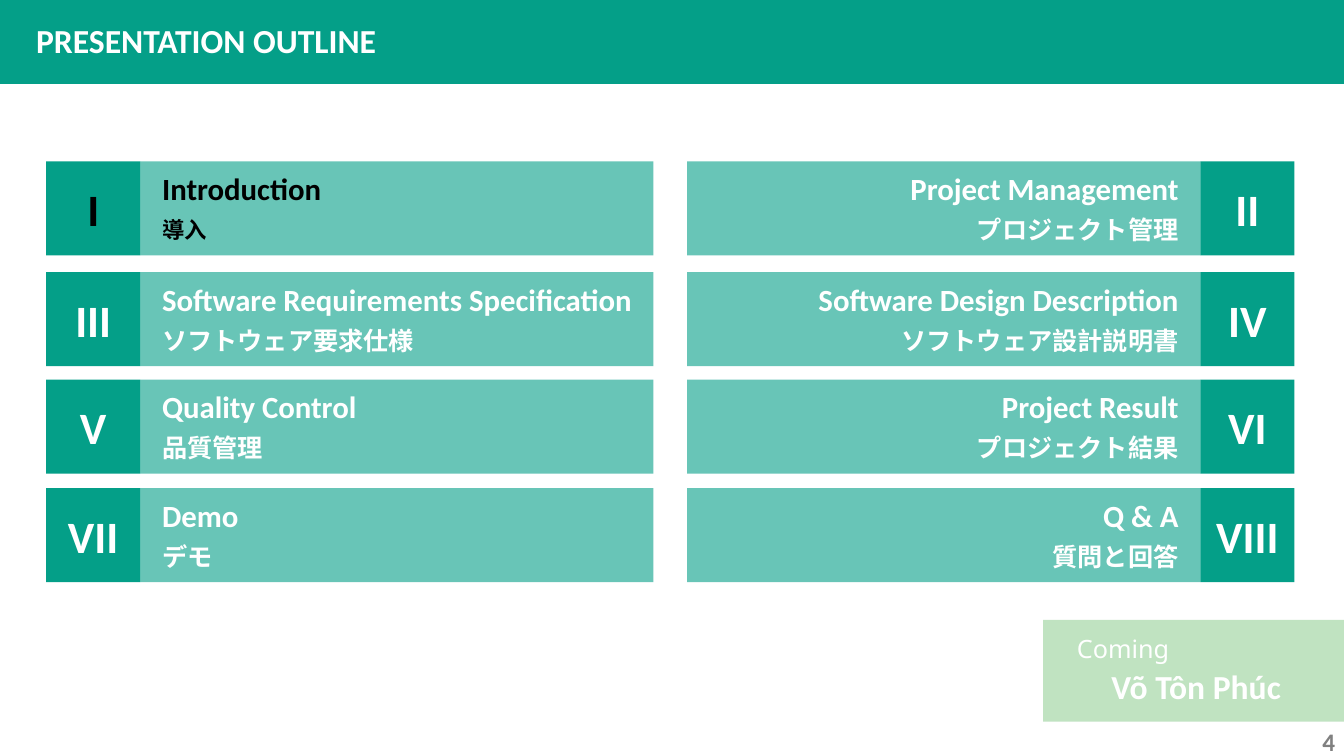
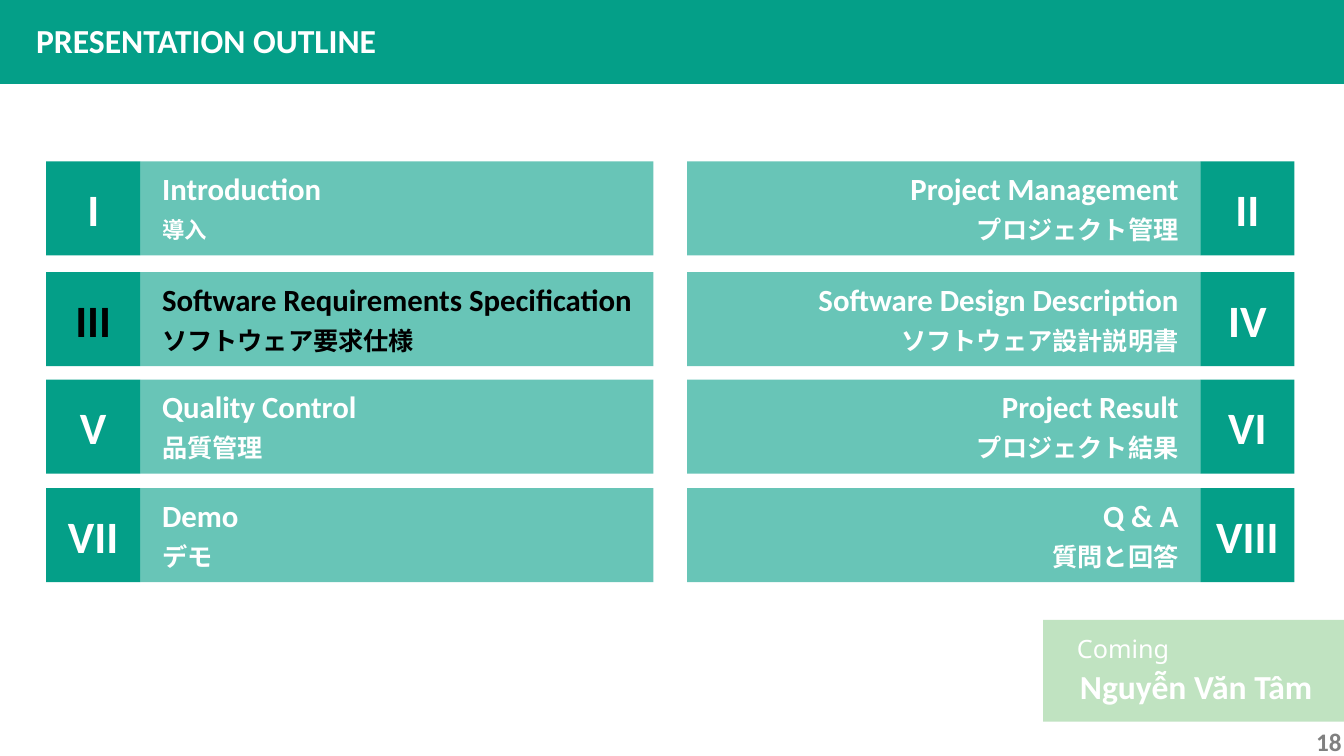
from dataclasses import dataclass
from lxml.etree import SubElement
from pptx import Presentation
from pptx.dml.color import RGBColor as RGB
from pptx.enum.shapes import MSO_SHAPE as Shape
from pptx.enum.text import MSO_ANCHOR as Anchor, MSO_AUTO_SIZE as AutoSize, PP_ALIGN as Align
from pptx.oxml.ns import qn
from pptx.util import Inches, Pt


@dataclass(frozen=True)
class Theme:
    green: str = "049F88"
    leaf: str = "4CAF50"
    white: str = "FFFFFF"
    black: str = "000000"
    grey: str = "808080"
    font: str = "Calibri"
    japanese: str = "Times New Roman"
    plain: str = "Noto Sans"
    title: int = 24
    numeral: int = 32
    topic: int = 22
    small: int = 18
    tiny: int = 16


T = Theme()

# The slide is a grid of 160 columns by 90 rows
COLS, ROWS = 160, 90
LEFT, RIGHT = 5.5, 154.1
BADGE, BAR, PAD = 11.2, 61.1, 2.6
ROW_TOPS = (19.2, 32.4, 45.2, 58.1)

# Numeral, topic, Japanese topic, size of the Japanese topic
SECTIONS = (
    ("I", "Introduction", "導入", T.tiny),
    ("II", "Project Management", "プロジェクト管理", T.small),
    ("III", "Software Requirements Specification", "ソフトウェア要求仕様", T.small),
    ("IV", "Software Design Description", "ソフトウェア設計説明書", T.small),
    ("V", "Quality Control", "品質管理", T.small),
    ("VI", "Project Result", "プロジェクト結果", T.small),
    ("VII", "Demo", "デモ", T.small),
    ("VIII", "Q & A", "質問と回答", T.small),
)

# Current section, next speaker, page number
SLIDES = (("I", "Võ Tôn Phúc", "4"), ("III", "Nguyễn Văn Tâm", "18"))


class Deck:
    def __init__(self):
        self.prs = Presentation()
        self.prs.slide_width, self.prs.slide_height = Inches(13.33), Inches(7.5)
        self.slide = None

    def new_slide(self):
        self.slide = self.prs.slides.add_slide(self.prs.slide_layouts[5])

    def place(self, x, y, w, h):
        col, row = self.prs.slide_width / COLS, self.prs.slide_height / ROWS
        return [round(v) for v in (x * col, y * row, w * col, h * row)]

    def set_text(self, sp, text, size, color=T.white, font=T.font, bold=True, align=Align.LEFT):
        tf = sp.text_frame
        tf.text = text
        tf.auto_size, tf.word_wrap = AutoSize.NONE, False
        tf.vertical_anchor = Anchor.MIDDLE
        tf.margin_left = tf.margin_right = tf.margin_top = tf.margin_bottom = 0
        p = tf.paragraphs[0]
        p.alignment = align
        f = p.runs[0].font
        f.name, f.size, f.bold = font, Pt(size), bold
        f.color.rgb = RGB.from_string(color)

    def rect(self, box, color, opacity=100):
        sp = self.slide.shapes.add_shape(Shape.RECTANGLE, *self.place(*box))
        sp.shadow.inherit = False
        sp.line.fill.background()
        sp.fill.solid()
        sp.fill.fore_color.rgb = RGB.from_string(color)
        if opacity < 100:
            clr = sp._element.spPr.find(".//" + qn("a:srgbClr"))
            SubElement(clr, qn("a:alpha")).set("val", str(opacity * 1000))
        return sp

    def label(self, box, text, size, **style):
        self.set_text(self.slide.shapes.add_textbox(*self.place(*box)), text, size, **style)

    def title(self, text):
        self.rect((0, 0, COLS, 10), T.green)
        sp = self.slide.shapes.title
        sp.left, sp.top, sp.width, sp.height = self.place(4.3, 1.8, 60, 6)
        self.set_text(sp, text, T.title)
        # Bring the title in front of its band
        self.slide.shapes._spTree.append(sp._element)

    def section(self, index, current):
        numeral, topic, japanese, size = SECTIONS[index]
        row, on_right = divmod(index, 2)
        y = ROW_TOPS[row]
        badge_x = RIGHT - BADGE if on_right else LEFT
        bar_x = badge_x - BAR if on_right else LEFT + BADGE
        align = Align.RIGHT if on_right else Align.LEFT
        color = T.black if numeral == current else T.white
        # Numbered badge and pale bar
        badge = self.rect((badge_x, y, BADGE, BADGE), T.green)
        self.set_text(badge, numeral, T.numeral, color=color, align=Align.CENTER)
        self.rect((bar_x, y, BAR, BADGE), T.green, 60)
        # Topic in two languages
        x, w = bar_x + PAD, BAR - 2 * PAD
        self.label((x, y + 0.4, w, 5.6), topic, T.topic, color=color, align=align)
        self.label((x, y + 5.7, w, 4.8), japanese, size, color=color, font=T.japanese, align=align)

    def coming(self, speaker):
        self.rect((124.2, 73.8, 35.8, 12.1), T.leaf, 35)
        self.label((128.2, 74.8, 12, 4.8), "Coming", T.small, font=T.plain, bold=False)
        self.label((127.4, 78.7, 30, 6), speaker, T.title, align=Align.CENTER)

    def page(self, number):
        self.label((156.4, 86.6, 3.6, 3.4), number, T.small, color=T.grey, align=Align.CENTER)


def main():
    deck = Deck()
    for current, speaker, number in SLIDES:
        deck.new_slide()
        deck.title("PRESENTATION OUTLINE")
        for index in range(len(SECTIONS)):
            deck.section(index, current)
        deck.coming(speaker)
        deck.page(number)
    deck.prs.save("out.pptx")


if __name__ == "__main__":
    main()
